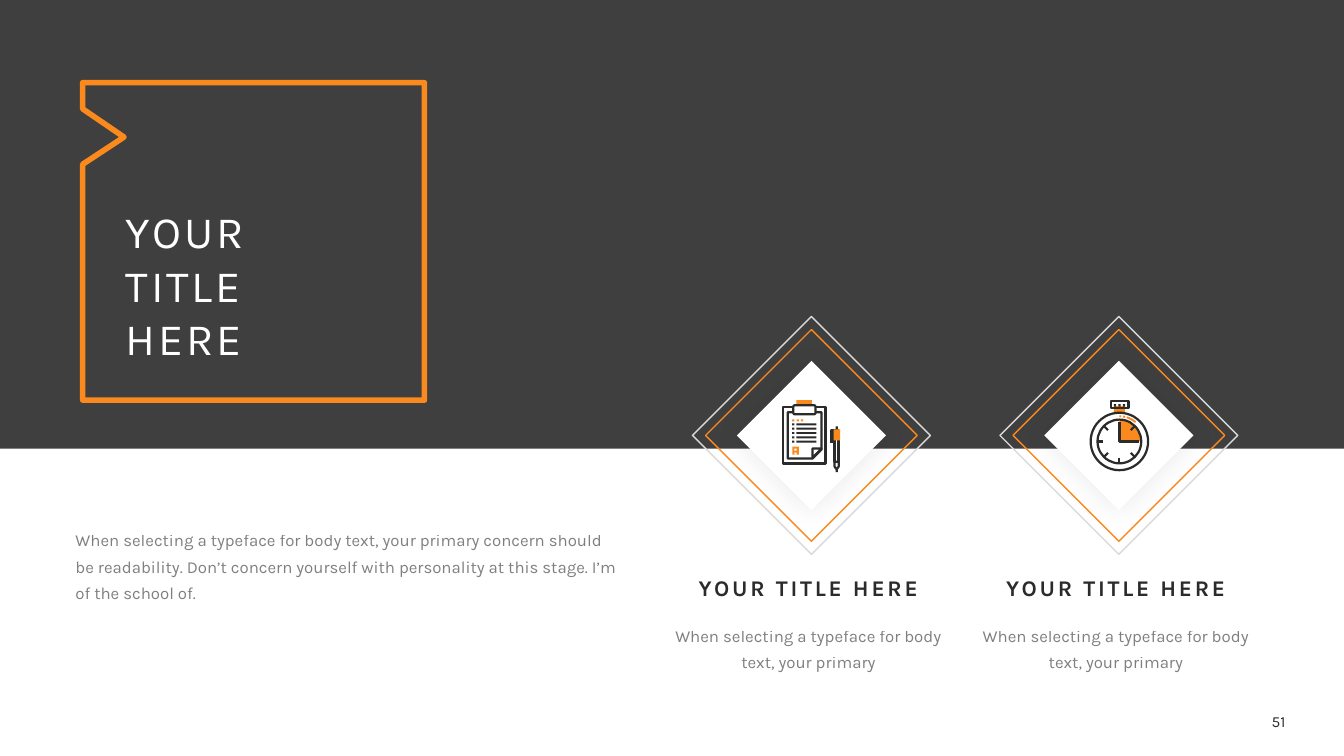
import math

import pptx
import pptx.dml.color
import pptx.enum.shapes
import pptx.enum.text
import pptx.oxml
import pptx.oxml.ns
import pptx.util

RGBColor = pptx.dml.color.RGBColor
MSO = pptx.enum.shapes.MSO_SHAPE
ALIGN = pptx.enum.text.PP_ALIGN
ANCHOR = pptx.enum.text.MSO_ANCHOR
Pt = pptx.util.Pt

DARK = RGBColor(0x2B, 0x2B, 0x2B)
ORANGE = RGBColor(0xFA, 0x89, 0x1E)
SILVER = RGBColor(0xD9, 0xD9, 0xD9)
WHITE = RGBColor(0xFF, 0xFF, 0xFF)

# Grid of square cells, ten to the inch
COLS, ROWS = 133.33, 75
CELL = pptx.util.Inches(0.1)
STROKE = 1.6

BODY = {"font": {"name": "Karla", "size": Pt(12)}, "alpha": 60, "para": {"line_spacing": 1.3}}
CARD_BODY = {**BODY, "para": {"line_spacing": 1.3, "alignment": ALIGN.CENTER}}
CARD_HEAD = {"font": {"name": "Karla", "size": Pt(16), "bold": True}, "spacing": 2,
             "para": {"line_spacing": 0.9, "alignment": ALIGN.CENTER}}
TITLE = {"font": {"name": "Karla", "size": Pt(32)}, "color": WHITE, "spacing": 2}
NUMBER = {"font": {"name": "Karla", "size": Pt(11)}, "para": {"alignment": ALIGN.CENTER},
          "frame": {"vertical_anchor": ANCHOR.MIDDLE}}


def cells(*values):
    return [round(v * CELL) for v in values]


def set_values(target, values):
    for name, value in values.items():
        setattr(target, name, value)


def set_alpha(element, percent):
    color = next(element.iter(pptx.oxml.ns.qn("a:srgbClr")))
    color.append(pptx.oxml.parse_xml(
        f'<a:alpha {pptx.oxml.ns.nsdecls("a")} val="{percent * 1000}"/>'))


def paint(sp, fill=None, line=None, width=1):
    sp.shadow.inherit = False
    if fill is None:
        sp.fill.background()
    else:
        sp.fill.solid()
        sp.fill.fore_color.rgb = fill
    if line is None:
        sp.line.fill.background()
    else:
        sp.line.color.rgb = line
        sp.line.width = Pt(width)
    return sp


def add_preset(s, kind, box, **look):
    return paint(s.shapes.add_shape(kind, *cells(*box)), **look)


def add_outline(s, origin, points, closed=True, **look):
    ox, oy = origin
    spots = [cells(ox + x, oy + y) for x, y in points]
    builder = s.shapes.build_freeform(*spots[0], scale=1.0)
    builder.add_line_segments(spots[1:], close=closed)
    return paint(builder.convert_to_shape(), **look)


def add_line(s, origin, start, end):
    ox, oy = origin
    ends = cells(ox + start[0], oy + start[1], ox + end[0], oy + end[1])
    line = s.shapes.add_connector(pptx.enum.shapes.MSO_CONNECTOR.STRAIGHT, *ends)
    line.line.color.rgb = DARK
    line.line.width = Pt(STROKE)
    line._element.spPr.append(pptx.oxml.parse_xml(
        f'<a:effectLst {pptx.oxml.ns.nsdecls("a")}/>'))


def add_text(s, box, text, style):
    tf = s.shapes.add_textbox(*cells(*box)).text_frame
    tf.word_wrap = True
    set_values(tf, style.get("frame", {}))
    p = tf.paragraphs[0]
    set_values(p, style.get("para", {}))
    r = p.add_run()
    r.text = text
    set_values(r.font, style["font"])
    r.font.color.rgb = style.get("color", DARK)
    rpr = r.font._element
    if "alpha" in style:
        set_alpha(rpr, style["alpha"])
    if "spacing" in style:
        rpr.set("spc", str(style["spacing"] * 100))


def arc(center, radius, first, last):
    """Points on a circle; degrees run clockwise from twelve o'clock."""
    angles = [math.radians(first + (last - first) * i / 12) for i in range(13)]
    return [(center[0] + radius * math.sin(a), center[1] - radius * math.cos(a)) for a in angles]


def draw_clipboard(s, origin):
    ox, oy = origin
    ink = {"line": DARK, "width": STROKE}

    def block(x, y, w, h, kind=MSO.RECTANGLE, **look):
        add_preset(s, kind, (ox + x, oy + y, w, h), **look)

    # Board, sheet with a folded corner, and clip
    block(-2.8, -2.8, 4.2, 5.6, **ink)
    add_outline(s, origin, [(-2.35, -2.3), (1, -2.3), (1, 1.4), (0.1, 2.3), (-2.35, 2.3)], **ink)
    add_outline(s, origin, [(0.1, 1.3), (1, 1.3), (0.1, 2.2)], fill=WHITE, **ink)
    block(-1.5, -3.5, 1.55, 0.5, fill=ORANGE)
    block(-1.8, -3, 2.2, 0.9, MSO.ROUNDED_RECTANGLE, fill=WHITE, **ink)
    # Written lines, dots and letter
    for row in range(5):
        y = -1.2 + 0.43 * row
        block(-1.9, y, 0.22, 0.2, fill=DARK)
        block(-1.5, y, 2, 0.2, fill=DARK)
    for dot in range(3):
        block(-1.9 + 0.43 * dot, -1.6, 0.22, 0.2, fill=ORANGE)
    block(-1.9, 1.1, 0.65, 0.8, fill=ORANGE)
    for y in (1.3, 1.7):
        block(-1.69, y, 0.22, 0.2, fill=WHITE)
    # Pen
    add_outline(s, origin, [(2.4, -0.5), (2, -0.5), (2, 0.8)], closed=False, **ink)
    block(2.3, -0.5, 0.4, 3.1, **ink)
    add_outline(s, origin, [(2.3, 2.6), (2.7, 2.6), (2.7, 3.1), (2.5, 3.35), (2.3, 3.1)], **ink)
    for y in (-0.9, 3.4):
        block(2.4, y, 0.22, 0.25, fill=DARK)
    block(2.2, -0.6, 0.65, 1.1, fill=ORANGE)


def draw_stopwatch(s, origin):
    ox, oy = origin
    dial = (0.05, 0.6)
    ink = {"line": DARK, "width": STROKE}
    # Elapsed quarter, stem and glints
    add_outline(s, origin, [dial] + arc(dial, 2.15, 0, 90), fill=ORANGE)
    add_preset(s, MSO.RECTANGLE, (ox - 0.5, oy - 2.9, 1.1, 0.7), fill=ORANGE)
    for first, last in ((0, 4), (8, 13), (17, 40)):
        add_outline(s, origin, arc(dial, 2.5, first, last), closed=False, line=ORANGE, width=1.4)
    # Crown with teeth
    add_preset(s, MSO.RECTANGLE, (ox - 0.8, oy - 3.4, 1.75, 0.65), **ink)
    for tooth in range(3):
        add_preset(s, MSO.RECTANGLE, (ox - 0.5 + 0.45 * tooth, oy - 3.1, 0.22, 0.25), fill=DARK)
    # Dial, ticks and hands
    for radius in (2.85, 2.17):
        add_preset(s, MSO.OVAL, (ox + dial[0] - radius, oy + dial[1] - radius,
                                 2 * radius, 2 * radius), **ink)
    for angle in range(45, 360, 45):
        if angle != 90:
            add_line(s, origin, arc(dial, 1.6, angle, angle)[0], arc(dial, 2.1, angle, angle)[0])
    add_outline(s, origin, [(dial[0], dial[1] - 1.9), dial, (dial[0] + 1.9, dial[1])],
                closed=False, **ink)


def add_badge(s, center, draw_icon):
    cx, cy = center
    for size, look in ((21, {"line": ORANGE}), (23.6, {"line": SILVER}), (14.8, {"fill": WHITE})):
        sp = add_preset(s, MSO.DIAMOND, (cx - size / 2, cy - size / 2, size, size), **look)
    # Soft shadow under the white diamond
    effects = sp._element.spPr.find(pptx.oxml.ns.qn("a:effectLst"))
    effects.append(pptx.oxml.parse_xml(
        f'<a:outerShdw {pptx.oxml.ns.nsdecls("a")} blurRad="{Pt(20)}" dist="{Pt(2)}" '
        'dir="5400000" algn="t" rotWithShape="0"><a:srgbClr val="000000">'
        '<a:alpha val="8000"/></a:srgbClr></a:outerShdw>'))
    draw_icon(s, center)


def add_card(s, box, draw_icon):
    x, y, w, h = box
    add_text(s, (x, y + 29.6, w, 6.3), "When selecting a typeface for body text, your primary", CARD_BODY)
    add_text(s, (x, y + 25.4, w, 4.1), "YOUR TITLE HERE", CARD_HEAD)
    add_badge(s, (x + 14.5, y + 11.8), draw_icon)


def add_title_panel(s, box):
    x, y, w, h = box
    corners = [(0, 0), (w, 0), (w, h), (0, h), (0, 8.1), (4.1, 5.4), (0, 2.6)]
    add_outline(s, (x, y), corners, line=ORANGE, width=4)
    add_text(s, (x + 3.3, y + 11.5, 19.8, 17.2), "YOUR TITLE HERE", TITLE)


def main():
    prs = pptx.Presentation()
    prs.slide_width, prs.slide_height = cells(COLS, ROWS)
    s = prs.slides.add_slide(prs.slide_layouts[6])
    # Dark band
    band = add_preset(s, MSO.RECTANGLE, (0, 0, COLS, 44.5), fill=DARK)
    set_alpha(band._element.spPr, 90)
    # Title and introduction
    add_title_panel(s, (8.2, 8.2, 33.9, 31.5))
    add_text(s, (6.5, 51.5, 56.1, 8.9),
             "When selecting a typeface for body text, your primary concern should be readability. "
             "Don’t concern yourself with personality at this stage. I’m of the school of.", BODY)
    # Cards
    for i, draw_icon in enumerate((draw_clipboard, draw_stopwatch)):
        add_card(s, (66 + 30.5 * i, 31.4, 28.4, 35.9), draw_icon)
    # Page number
    add_text(s, (124.5, 70.5, 4.7, 2.1), "51", NUMBER)
    prs.save("out.pptx")


if __name__ == "__main__":
    main()
